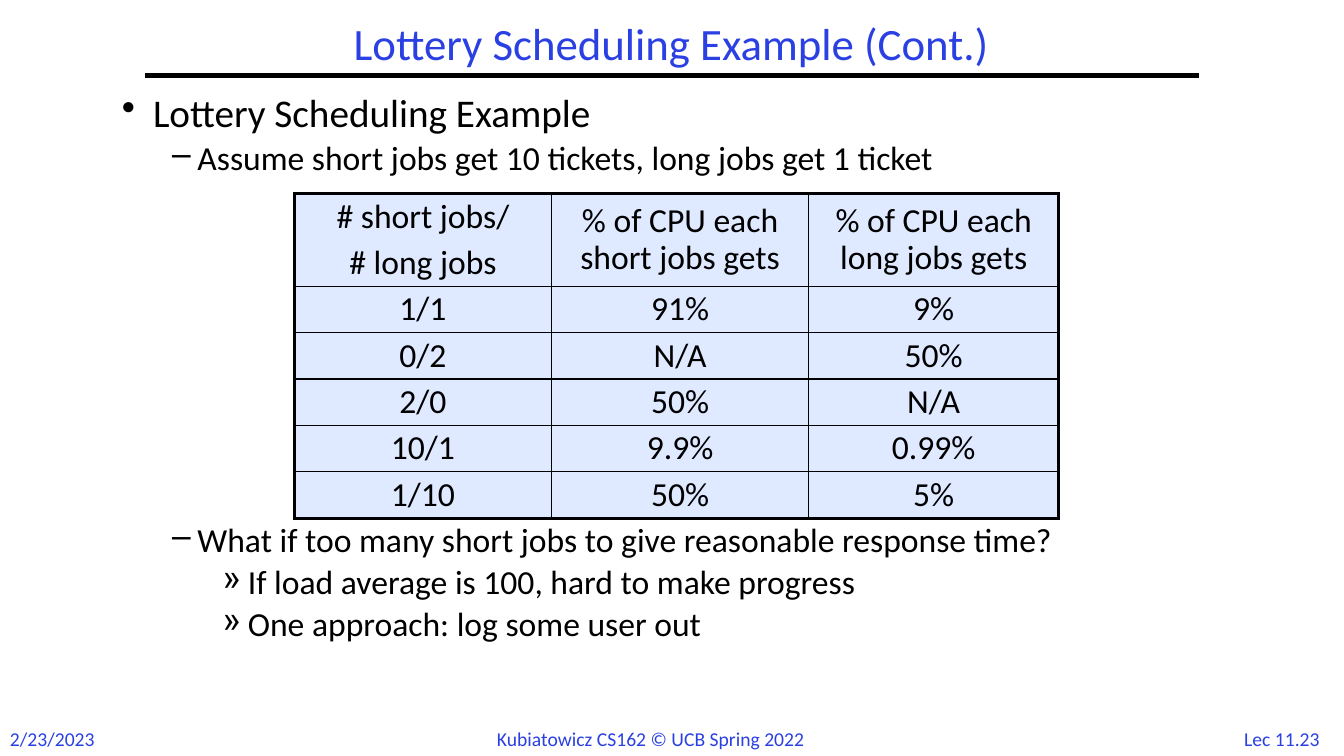
from lxml import etree
from pptx import Presentation
from pptx import util as u
from pptx.dml.color import RGBColor
from pptx.enum import shapes, text
from pptx.oxml.ns import qn

COLORS = {"blue": "2A40E2", "black": "000000", "cell": "DFE9FF"}
CENTER = text.PP_ALIGN.CENTER
MIDDLE = text.MSO_ANCHOR.MIDDLE


class SlideBuilder:
    font_name = "Calibri"
    bullets = [("•", 0.31, 0.31, 28), ("–", 0.75, 0.25, 24), ("»", 1.25, 0.25, 24)]

    def __init__(self, slide):
        self.slide = slide

    def color(self, name):
        return RGBColor.from_string(COLORS[name])

    def format(self, target, values):
        for name, value in values.items():
            setattr(target, name, value)

    def style(self, paragraph, content, size, color="black", **values):
        paragraph.text = content
        self.format(paragraph, values)
        self.format(paragraph.font, {"name": self.font_name, "size": u.Pt(size)})
        paragraph.font.color.rgb = self.color(color)

    def paragraphs(self, frame, count):
        return [frame.paragraphs[0]] + [frame.add_paragraph() for _ in range(count - 1)]

    def frame(self, box, **values):
        shape = self.slide.shapes.add_textbox(*map(u.Inches, box))
        self.format(shape.text_frame, {"word_wrap": True, **values})
        return shape.text_frame

    def title(self, box, content):
        frame = self.frame(box, vertical_anchor=MIDDLE)
        self.style(frame.paragraphs[0], content, 32, "blue", alignment=CENTER, line_spacing=0.9)

    def footer(self, box, content, alignment):
        frame = self.frame(box, word_wrap=False, auto_size=text.MSO_AUTO_SIZE.SHAPE_TO_FIT_TEXT)
        self.style(frame.paragraphs[0], content, 14, "blue", alignment=alignment)

    def rule(self, left, right, top):
        line = self.slide.shapes.add_connector(
            shapes.MSO_CONNECTOR.STRAIGHT, *map(u.Inches, (left, top, right, top)))
        line.line.color.rgb = self.color("black")
        line.line.width = u.Pt(3)
        etree.SubElement(line._element.spPr, qn("a:effectLst"))

    def outline(self, box, items):
        frame = self.frame(box)
        for index, (paragraph, (level, content)) in enumerate(
                zip(self.paragraphs(frame, len(items)), items)):
            mark, margin, hanging, size = self.bullets[level]
            properties = paragraph._p.get_or_add_pPr()
            properties.set("marL", str(u.Inches(margin)))
            properties.set("indent", str(-u.Inches(hanging)))
            etree.SubElement(properties, qn("a:buChar"), char=mark)
            self.style(paragraph, content, size, level=level, line_spacing=0.8,
                       space_before=u.Pt(7 if index else 0))

    def border(self, cell, side, width):
        properties = cell._tc.get_or_add_tcPr()
        line = etree.SubElement(properties, qn("a:ln" + side), w=str(u.Pt(width)))
        fill = etree.SubElement(line, qn("a:solidFill"))
        etree.SubElement(fill, qn("a:srgbClr"), val=COLORS["black"])

    def table(self, left, top, widths, heights, rows):
        box = map(u.Inches, (left, top, sum(widths), sum(heights)))
        table = self.slide.shapes.add_table(len(rows), len(widths), *box).table
        self.format(table, {"first_row": False, "horz_banding": False})
        for column, width in zip(table.columns, widths):
            column.width = u.Inches(width)
        for row, height in zip(table.rows, heights):
            row.height = u.Inches(height)
        for r, values in enumerate(rows):
            for c, content in enumerate(values):
                cell = table.cell(r, c)
                outer = {"L": c == 0, "R": c == len(widths) - 1,
                         "T": r == 0, "B": r == len(rows) - 1}
                for side, is_outer in outer.items():
                    self.border(cell, side, 2.25 if is_outer else 1)
                cell.fill.solid()
                cell.fill.fore_color.rgb = self.color("cell")
                cell.vertical_anchor = MIDDLE
                lines = content.split("\n")
                for index, (paragraph, line) in enumerate(
                        zip(self.paragraphs(cell.text_frame, len(lines)), lines)):
                    self.style(paragraph, line, 24, alignment=CENTER, line_spacing=0.9,
                               space_before=u.Pt(7 if index else 0))


def main():
    presentation = Presentation()
    presentation.slide_width = u.Inches(13.33)
    presentation.slide_height = u.Inches(7.5)
    builder = SlideBuilder(presentation.slides.add_slide(presentation.slide_layouts[6]))

    builder.footer((12.18, 7.16, 1.07, 0.34), "Lec 11.23", CENTER)
    builder.footer((0, 7.16, 1.07, 0.34), "2/23/2023", text.PP_ALIGN.LEFT)
    builder.footer((4.83, 7.16, 3.68, 0.34), "Kubiatowicz CS162 © UCB Spring 2022",
                   text.PP_ALIGN.LEFT)
    builder.rule(1.44, 11.89, 0.75)
    builder.title((1.44, 0.17, 10.44, 0.58), "Lottery Scheduling Example (Cont.)")
    builder.outline((1.11, 0.92, 11.39, 0.95), [
        (0, "Lottery Scheduling Example"),
        (1, "Assume short jobs get 10 tickets, long jobs get 1 ticket"),
    ])
    builder.outline((1.11, 5.18, 11.39, 1.9), [
        (1, "What if too many short jobs to give reasonable response time?"),
        (2, "If load average is 100, hard to make progress"),
        (2, "One approach: log some user out"),
    ])
    builder.table(2.92, 1.92, [2.55, 2.55, 2.48], [0.92] + [0.46] * 5, [
        ("# short jobs/\n# long jobs", "% of CPU each short jobs gets",
         "% of CPU each long jobs gets"),
        ("1/1", "91%", "9%"),
        ("0/2", "N/A", "50%"),
        ("2/0", "50%", "N/A"),
        ("10/1", "9.9%", "0.99%"),
        ("1/10", "50%", "5%"),
    ])
    presentation.save("out.pptx")


if __name__ == "__main__":
    main()
